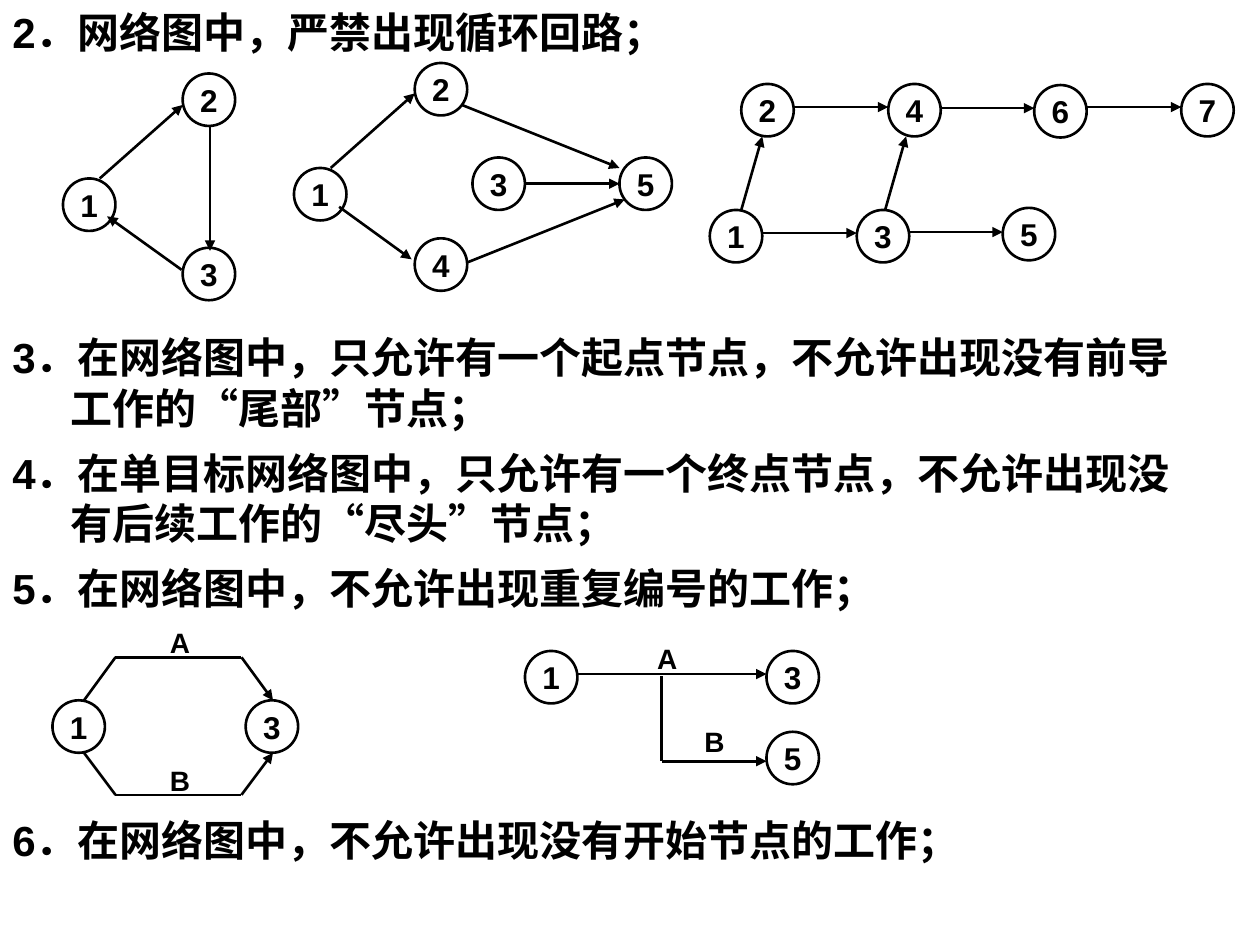
from lxml import etree
from pptx import Presentation
from pptx import util as u
from pptx.dml.color import RGBColor
from pptx.enum import shapes, text
from pptx.oxml.ns import qn

BLACK = RGBColor(0, 0, 0)
COLUMNS, ROWS = 120, 90


class NetworkSlide:
    """Draws rules and activity networks on a grid of 120 columns and 90 rows."""

    font_name = "Arial"
    rule_size, node_size, label_size = 24, 18, 16
    line_width = u.Pt(1.5)
    diameter = 5
    hanging = 5.5

    def __init__(self, deck):
        self.cell_width = deck.slide_width / COLUMNS
        self.cell_height = deck.slide_height / ROWS
        self.page = deck.slides.add_slide(deck.slide_layouts[6])

    def across(self, columns):
        return u.Emu(round(columns * self.cell_width))

    def down(self, rows):
        return u.Emu(round(rows * self.cell_height))

    def place(self, column, row, width, height):
        return self.across(column), self.down(row), self.across(width), self.down(height)

    def add_span(self, para, words, size):
        span = para.add_run()
        span.text = words
        span.font.name = self.font_name
        span.font.size = u.Pt(size)
        span.font.bold = True
        span.font.color.rgb = BLACK

    def textbox(self, column, row, width, height, lines, size):
        frame = self.page.shapes.add_textbox(*self.place(column, row, width, height)).text_frame
        frame.word_wrap = True
        for index, words in enumerate(lines):
            para = frame.add_paragraph() if index else frame.paragraphs[0]
            if index:
                para._p.get_or_add_pPr().set("marL", str(self.across(self.hanging)))
            self.add_span(para, words, size)

    def rule(self, row, width, *lines):
        self.textbox(0, row, width, 1.2 + 4.8 * len(lines), lines, self.rule_size)

    def label(self, words, column, row):
        self.textbox(column, row, 5.5, 4.4, [words], self.label_size)

    def node(self, number, column, row):
        area = self.place(column, row, self.diameter, self.diameter)
        circle = self.page.shapes.add_shape(shapes.MSO_SHAPE.OVAL, *area)
        circle.shadow.inherit = False
        circle.fill.background()
        circle.line.color.rgb = BLACK
        circle.line.width = self.line_width
        frame = circle.text_frame
        frame.margin_left = frame.margin_right = frame.margin_top = frame.margin_bottom = 0
        frame.vertical_anchor = text.MSO_ANCHOR.MIDDLE
        frame.word_wrap = False
        para = frame.paragraphs[0]
        para.alignment = text.PP_ALIGN.CENTER
        self.add_span(para, str(number), self.node_size)

    def nodes(self, *places):
        for place in places:
            self.node(*place)

    def line(self, start, end, arrow=False):
        link = self.page.shapes.add_connector(
            shapes.MSO_CONNECTOR.STRAIGHT,
            self.across(start[0]), self.down(start[1]),
            self.across(end[0]), self.down(end[1]))
        link.line.color.rgb = BLACK
        link.line.width = self.line_width
        if arrow:
            etree.SubElement(link.line._get_or_add_ln(), qn("a:tailEnd"), type="triangle")
        etree.SubElement(link._element.spPr, qn("a:effectLst"))

    def route(self, *points):
        for index in range(1, len(points)):
            self.line(points[index - 1], points[index], arrow=index == len(points) - 1)

    def arrows(self, *pairs):
        for start, end in pairs:
            self.route(start, end)


def draw_loop(slide):
    slide.nodes((1, 6, 17), (3, 17.4, 23.6), (2, 17.4, 7))
    slide.arrows(((20, 12), (20, 23.9)),
                 ((9.5, 17), (17.4, 10)),
                 ((17.3, 25.7), (10.2, 20.6)))


def draw_two_starts(slide):
    slide.nodes((1, 28, 16), (4, 39.5, 22.7), (2, 39.5, 6), (3, 45, 15), (5, 59, 15))
    slide.arrows(((31.5, 16), (39.5, 8.9)),
                 ((32.3, 19.7), (39.2, 24.7)),
                 ((50, 17.5), (59, 17.5)),
                 ((44, 10), (59, 16)),
                 ((44.5, 25), (59.5, 19)))


def draw_two_ends(slide):
    slide.nodes((2, 70.6, 8), (4, 84.6, 8), (6, 98.5, 8.1), (7, 112.5, 8),
                (1, 67.6, 20), (3, 81.6, 20), (5, 95.5, 19.8))
    for column, row in ((75.6, 10.2), (89.5, 10.3), (103.5, 10.2), (72.6, 22.2), (86.5, 22.1)):
        slide.route((column, row), (column + 9, row))
    for column in (70.6, 84.3):
        slide.route((column, 20), (column + 2, 13))


def draw_repeated_number(slide):
    slide.nodes((1, 5, 66.7), (3, 23.4, 66.7))
    for name, side, bend, label_row in (("A", 66.7, 62.6, 59), ("B", 71.7, 75.7, 72.1)):
        slide.route((8, side), (11, bend), (23, bend), (26, side))
        slide.label(name, 15, label_row)


def draw_missing_start(slide):
    slide.nodes((1, 50, 62), (3, 73, 62), (5, 73, 69.7))
    slide.route((55, 64.2), (73, 64.2))
    slide.route((63, 64.4), (63, 72.5), (73, 72.5))
    slide.label("A", 61.4, 60.5)
    slide.label("B", 65.9, 68.4)


def main():
    deck = Presentation()
    deck.slide_width, deck.slide_height = u.Inches(10), u.Inches(7.5)
    slide = NetworkSlide(deck)
    slide.rule(0, 81, "2．网络图中，严禁出现循环回路；")
    draw_loop(slide)
    draw_two_starts(slide)
    draw_two_ends(slide)
    slide.rule(31, 117, "3．在网络图中，只允许有一个起点节点，不允许出现没有前导", "工作的“尾部”节点；")
    slide.rule(42, 116, "4．在单目标网络图中，只允许有一个终点节点，不允许出现没", "有后续工作的“尽头”节点；")
    slide.rule(53, 113, "5．在网络图中，不允许出现重复编号的工作；")
    draw_repeated_number(slide)
    draw_missing_start(slide)
    slide.rule(77, 95, "6．在网络图中，不允许出现没有开始节点的工作；")
    deck.save("out.pptx")


if __name__ == "__main__":
    main()
